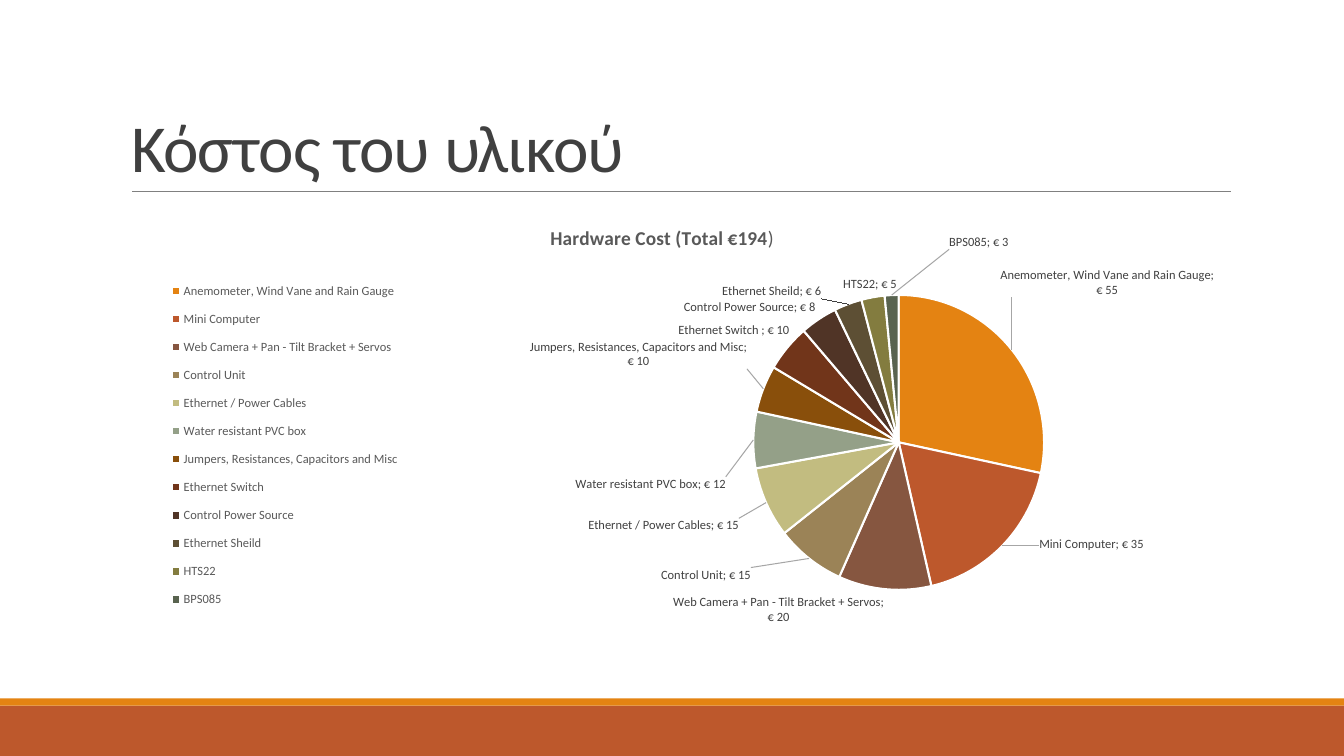
from copy import deepcopy

from pptx import Presentation
from pptx.chart.data import CategoryChartData
from pptx.dml.color import RGBColor
from pptx.enum.chart import XL_CHART_TYPE, XL_LABEL_POSITION, XL_LEGEND_POSITION
from pptx.enum.shapes import MSO_CONNECTOR, MSO_SHAPE
from pptx.enum.text import MSO_ANCHOR, PP_ALIGN
from pptx.oxml import parse_xml
from pptx.oxml.ns import nsdecls, qn
from pptx.util import Inches, Pt

FONT = "Calibri"
COLORS = {
    "white": "FFFFFF", "rust": "BD582C", "amber": "E48312", "rule": "808080",
    "title": "404040", "legend": "595959", "leader": "A6A6A6",
}
COSTS = [
    ("Anemometer, Wind Vane and Rain Gauge", 55, "E48312"),
    ("Mini Computer", 35, "BD582C"),
    ("Web Camera + Pan - Tilt Bracket + Servos", 20, "865640"),
    ("Control Unit", 15, "9B8357"),
    ("Ethernet / Power Cables", 15, "C2BC80"),
    ("Water resistant PVC box", 12, "94A088"),
    ("Jumpers, Resistances, Capacitors and Misc", 10, "894F0B"),
    ("Ethernet Switch ", 10, "71351A"),
    ("Control Power Source", 8, "503426"),
    ("Ethernet Sheild", 6, "5D4F34"),
    ("HTS22", 5, "837C3F"),
    ("BPS085", 3, "59634F"),
]
SHIFTS = {
    0: (-0.01, -0.11), 1: (0.03, -0.03), 3: (-0.05, 0.01), 4: (-0.02, 0.03),
    5: (-0.02, 0.1), 6: (-0.01, -0.04), 11: (0.08, -0.09),
}
EURO = r"[$€-2]\ #,##0;[Red]\-[$€-2]\ #,##0"


def paint(fill, color):
    fill.solid()
    fill.fore_color.rgb = RGBColor.from_string(color)


def style(font, size, color, bold=False):
    font.name, font.size, font.bold = FONT, Pt(size), bold
    font.color.rgb = RGBColor.from_string(color)


def add_bar(slide, top, height, color):
    bar = slide.shapes.add_shape(
        MSO_SHAPE.RECTANGLE, 0, Inches(top), Inches(13.33), Inches(height))
    bar.shadow.inherit = False
    paint(bar.fill, color)
    bar.line.fill.background()


def add_rule(slide):
    rule = slide.shapes.add_connector(
        MSO_CONNECTOR.STRAIGHT, Inches(1.31), Inches(1.9), Inches(12.21), Inches(1.9))
    rule.line.width = Pt(0.5)
    rule.line.color.rgb = RGBColor.from_string(COLORS["rule"])
    rule._element.spPr.append(parse_xml(f"<a:effectLst {nsdecls('a')}/>"))


def set_title(slide, text):
    title = slide.shapes.title
    title.left, title.top = Inches(1.2), Inches(0.31)
    title.width, title.height = Inches(11), Inches(1.59)
    frame = title.text_frame
    frame.word_wrap = True
    frame.vertical_anchor = MSO_ANCHOR.BOTTOM
    para = frame.paragraphs[0]
    para.alignment, para.line_spacing = PP_ALIGN.LEFT, 0.85
    run = para.add_run()
    run.text = text
    style(run.font, 48, COLORS["title"])
    run.font._element.set("spc", "-50")


def layout(modes, **spots):
    """Return a manual layout element with fractions of the chart."""
    marks = "".join(f'<c:{key} val="{val}"/>' for key, val in spots.items())
    return parse_xml(f"<c:layout {nsdecls('c')}><c:manualLayout>{modes}{marks}"
                     "</c:manualLayout></c:layout>")


def place(item, after, box):
    for old in item.findall(qn("c:layout")):
        item.remove(old)
    item.find(qn(after)).addnext(box)


def set_labels(series):
    labels = series.data_labels
    labels.show_value = labels.show_category_name = True
    labels.show_percentage = False
    labels.number_format, labels.number_format_is_linked = EURO, False
    labels.position = XL_LABEL_POSITION.BEST_FIT
    style(labels.font, 9, COLORS["title"])
    root = labels._element
    for old in root.findall(qn("c:showLeaderLines")):
        root.remove(old)
    root.append(parse_xml(f"<c:separator {nsdecls('c')}>; </c:separator>"))
    shared = [deepcopy(part) for part in root]
    for spot, (point, (x, y)) in enumerate(SHIFTS.items()):
        label = parse_xml(f'<c:dLbl {nsdecls("c")}><c:idx val="{point}"/></c:dLbl>')
        label.append(layout("", x=x, y=y))
        label.extend(deepcopy(shared))
        root.insert(spot, label)
    root.append(parse_xml(f'<c:showLeaderLines {nsdecls("c")} val="1"/>'))
    root.append(parse_xml(
        f'<c:leaderLines {nsdecls("c", "a")}><c:spPr><a:ln w="9525"><a:solidFill>'
        f'<a:srgbClr val="{COLORS["leader"]}"/></a:solidFill></a:ln></c:spPr>'
        "</c:leaderLines>"))


def add_pie(slide):
    data = CategoryChartData()
    data.categories = [name for name, _, _ in COSTS]
    data.add_series("Series 1", [cost for _, cost, _ in COSTS])
    chart = slide.shapes.add_chart(
        XL_CHART_TYPE.PIE, Inches(1.2), Inches(2.02), Inches(11), Inches(4.4), data).chart
    style(chart.font, 10, "000000")
    edges = '<c:xMode val="edge"/><c:yMode val="edge"/>'

    para = chart.chart_title.text_frame.paragraphs[0]
    for text, bold in (("Hardware Cost (Total €194", True), (")", False)):
        run = para.add_run()
        run.text = text
        style(run.font, 14, COLORS["legend"], bold)
    place(chart.chart_title._element, "c:tx", layout(edges, x=0.39, y=0.04))

    chart.has_legend = True
    legend = chart.legend
    legend.position, legend.include_in_layout = XL_LEGEND_POSITION.LEFT, False
    style(legend.font, 9, COLORS["legend"])
    place(legend._element, "c:legendPos", layout(edges, x=0.03, y=0.15, w=0.24, h=0.79))

    area = chart._chartSpace.chart.plotArea
    for old in area.findall(qn("c:layout")):
        area.remove(old)
    area.insert(0, layout('<c:layoutTarget val="inner"/>' + edges,
                          x=0.45, y=0.206, w=0.523, h=0.665))

    plot = chart.plots[0]
    plot.vary_by_categories = True
    series = plot.series[0]
    for index, (_, _, color) in enumerate(COSTS):
        form = series.points[index].format
        paint(form.fill, color)
        form.line.width = Pt(1.5)
        form.line.color.rgb = RGBColor.from_string(COLORS["white"])
    set_labels(series)


def main():
    deck = Presentation()
    deck.slide_width, deck.slide_height = Inches(13.33), Inches(7.5)
    slide = deck.slides.add_slide(deck.slide_layouts[5])
    paint(slide.background.fill, COLORS["white"])
    add_bar(slide, 7, 0.5, COLORS["rust"])
    add_bar(slide, 6.93, 0.07, COLORS["amber"])
    add_rule(slide)
    set_title(slide, "Κόστος του υλικού")
    add_pie(slide)
    deck.save("out.pptx")


if __name__ == "__main__":
    main()
